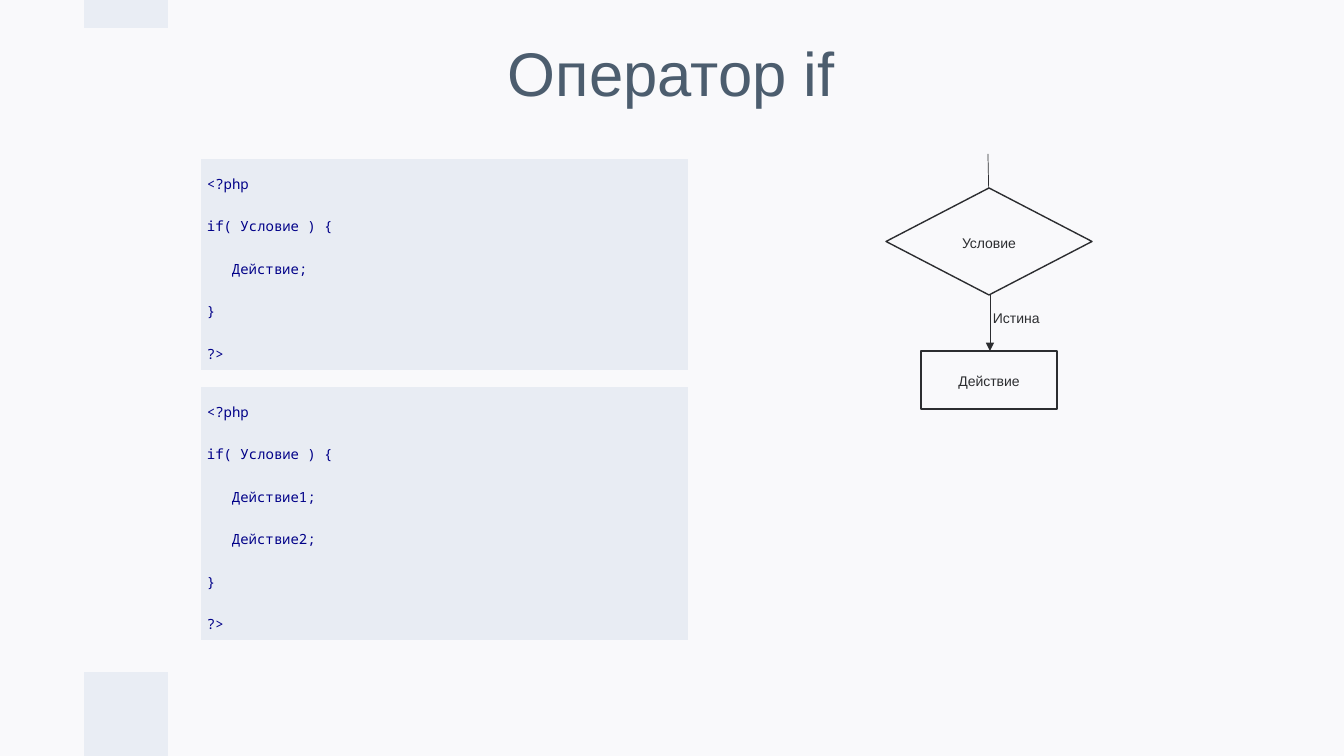
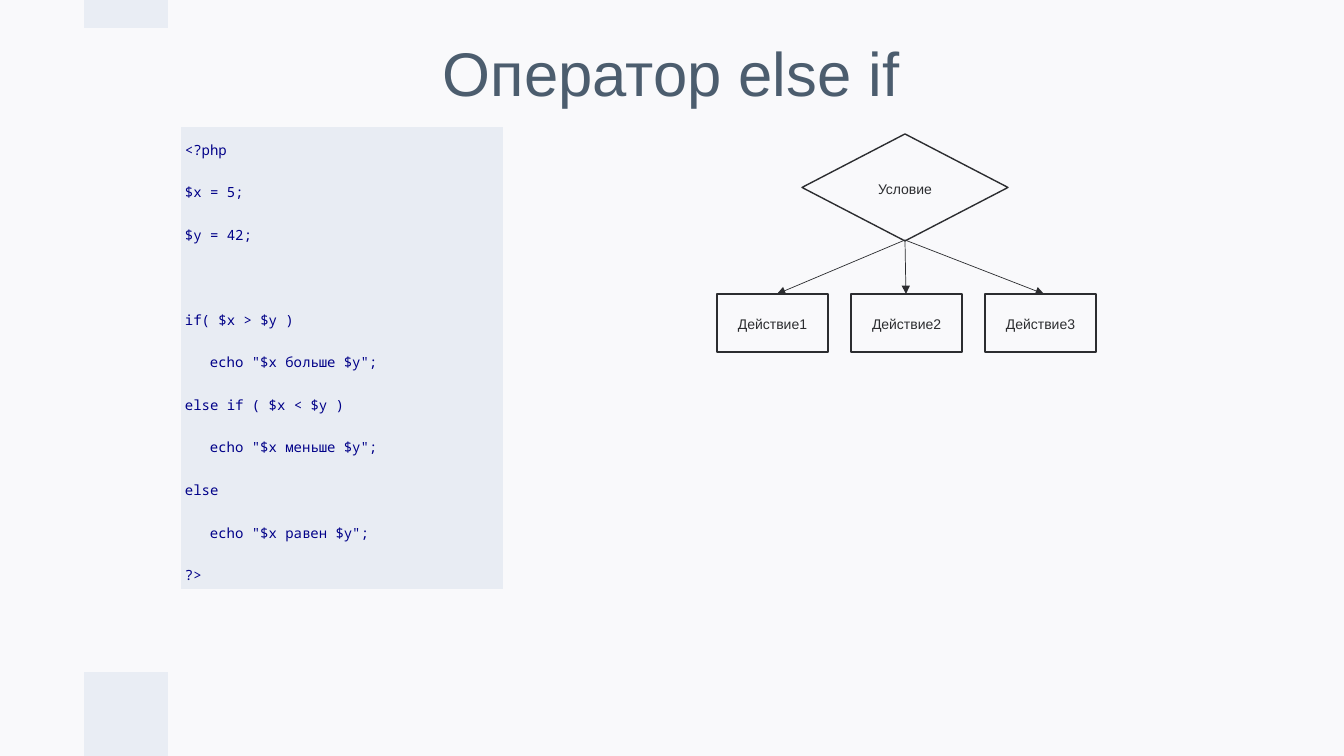
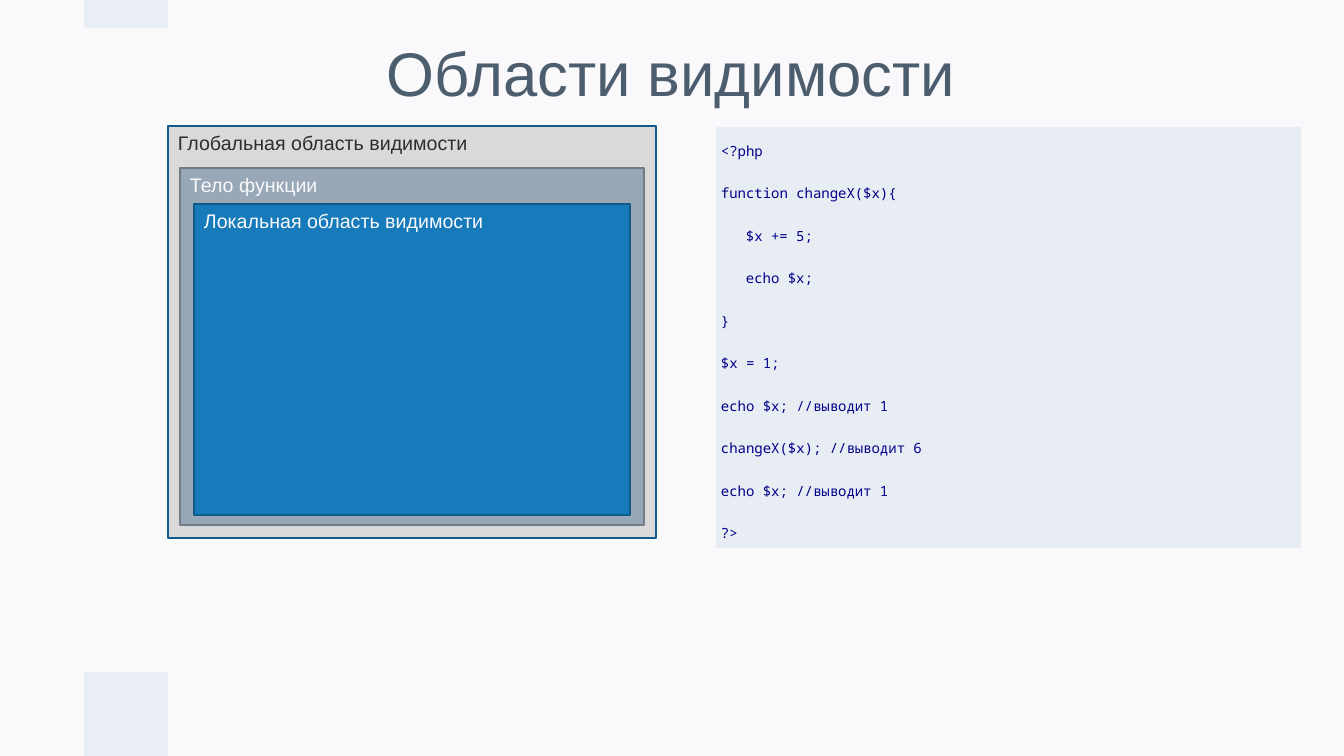
"""Build three slides on PHP conditions and variable scope."""
from lxml.etree import SubElement
from pptx import Presentation
from pptx.dml.color import RGBColor
from pptx.enum.shapes import MSO_CONNECTOR, MSO_SHAPE
from pptx.enum.text import MSO_ANCHOR, MSO_AUTO_SIZE, PP_ALIGN
from pptx.oxml import parse_xml
from pptx.oxml.ns import nsdecls, qn
from pptx.util import Pt

PIXEL = 9071
BACKGROUND, BAND, CODE_FILL = "F9F9FB", "E9EDF4", "E8ECF3"
TITLE_COLOR, CODE_COLOR, INK = "4C5D6E", "000088", "2C2D30"
TITLE_BOX = (168, 40, 1007, 74)
BANDS = [(84, 672, 84, 84), (84, 0, 84, 28)]
INDENT = 25
CODE_GAP, BLANK_LINE = 10, 30.4
DIAMOND_SIZE = (206, 107)
color = RGBColor.from_string


def add_box(slide, kind, box, text="", fill=BACKGROUND, outline=INK, ink=INK, size=10,
            align=PP_ALIGN.CENTER, anchor=MSO_ANCHOR.MIDDLE, gap=10, leading=1.15):
    shape = slide.shapes.add_shape(kind, *(PIXEL * value for value in box))
    shape.shadow.inherit = False
    shape.fill.solid()
    shape.fill.fore_color.rgb = color(fill)
    if outline:
        shape.line.color.rgb = color(outline)
        shape.line.width = Pt(1)
    else:
        shape.line.fill.background()
    if text:
        frame = shape.text_frame
        frame.vertical_anchor = anchor
        paragraph = frame.paragraphs[0]
        paragraph.text = text
        paragraph.alignment = align
        paragraph.line_spacing = leading
        paragraph.space_before = paragraph.space_after = Pt(gap)
        paragraph.font.name = "Arial"
        paragraph.font.size = Pt(size)
        paragraph.font.color.rgb = color(ink)
    return shape


def add_arrow(slide, start, end):
    arrow = slide.shapes.add_connector(
        MSO_CONNECTOR.STRAIGHT, *(PIXEL * value for value in start + end))
    arrow.line.color.rgb = color(INK)
    arrow.line.width = Pt(0.5)
    properties = arrow._element.spPr
    SubElement(properties.find(qn("a:ln")), qn("a:tailEnd"), type="triangle")
    SubElement(properties, qn("a:effectLst"))


presentation = Presentation()
presentation.slide_width = 1344 * PIXEL
presentation.slide_height = 756 * PIXEL
background = presentation.slide_master.background.fill
background.solid()
background.fore_color.rgb = color(BACKGROUND)

slides = []
for heading in ("Оператор if", "Оператор else if", "Области видимости"):
    slide = presentation.slides.add_slide(presentation.slide_layouts[5])
    slides.append(slide)
    title = slide.shapes.title
    title.left, title.top, title.width, title.height = (PIXEL * value for value in TITLE_BOX)
    frame = title.text_frame
    frame.auto_size = MSO_AUTO_SIZE.NONE
    frame.vertical_anchor = MSO_ANCHOR.MIDDLE
    frame.margin_left = frame.margin_right = frame.margin_top = frame.margin_bottom = 13 * PIXEL
    paragraph = frame.paragraphs[0]
    paragraph.text = heading
    paragraph.alignment = PP_ALIGN.CENTER
    paragraph.line_spacing = 0.9
    paragraph.font.name = "Arial"
    paragraph.font.size = Pt(44)
    paragraph.font.color.rgb = color(TITLE_COLOR)
    for band in BANDS:
        add_box(slide, MSO_SHAPE.RECTANGLE, band, fill=BAND, outline=None)
if_slide, else_if_slide, scope_slide = slides

listings = [
    (if_slide, (200, 158, 489, 193), 7, """<?php
if( Условие ) {
   Действие;
}
?>"""),
    (if_slide, (200, 386, 489, 233), 7, """<?php
if( Условие ) {
   Действие1;
   Действие2;
}
?>"""),
    (else_if_slide, (180, 126, 324, 428), 5, """<?php
$x = 5;
$y = 42;

if( $x > $y )
   echo "$x больше $y";
else if ( $x < $y )
   echo "$x меньше $y";
else
   echo "$x равен $y";
?>"""),
    (scope_slide, (715, 126, 587, 412), 6, """<?php
function changeX($x){
   $x += 5;
   echo $x;
}
$x = 1;
echo $x; //выводит 1
changeX($x); //выводит 6
echo $x; //выводит 1
?>"""),
]
for slide, box, inset, code in listings:
    table = slide.shapes.add_table(1, 1, *(PIXEL * value for value in box)).table
    table.first_row = table.horz_banding = False
    cell = table.cell(0, 0)
    cell.fill.solid()
    cell.fill.fore_color.rgb = color(CODE_FILL)
    cell.margin_left = cell.margin_right = cell.margin_top = cell.margin_bottom = inset * PIXEL
    for position, side in enumerate("LRTB"):
        cell._tc.tcPr.insert(position, parse_xml(
            f'<a:ln{side} {nsdecls("a")} w="12700"><a:solidFill>'
            f'<a:srgbClr val="{BACKGROUND}"/></a:solidFill></a:ln{side}>'))
    frame = cell.text_frame
    gap = CODE_GAP
    for number, line in enumerate(code.splitlines()):
        if not line:
            gap += BLANK_LINE
            continue
        paragraph = frame.add_paragraph() if number else frame.paragraphs[0]
        paragraph.text = line.strip()
        paragraph.line_spacing = 1.5
        paragraph.space_before = Pt(gap)
        paragraph.font.name = "Noto Sans Mono"
        paragraph.font.size = Pt(10)
        paragraph.font.color.rgb = color(CODE_COLOR)
        if line.startswith(" "):
            paragraph._p.get_or_add_pPr().set("marL", str(INDENT * PIXEL))
        gap = CODE_GAP

add_arrow(if_slide, (988, 154), (989, 205))
add_box(if_slide, MSO_SHAPE.FLOWCHART_DECISION, (886, 188, *DIAMOND_SIZE), "Условие")
true_label = add_box(if_slide, MSO_SHAPE.RECTANGLE, (983, 302, 68, 29), "Истина",
                     outline=BACKGROUND, align=PP_ALIGN.LEFT, anchor=MSO_ANCHOR.TOP)
true_label.line.width = Pt(0.5)
true_label.text_frame.word_wrap = False
add_box(if_slide, MSO_SHAPE.RECTANGLE, (921, 351, 136, 58), "Действие")
add_arrow(if_slide, (990, 295), (990, 351))

add_box(else_if_slide, MSO_SHAPE.FLOWCHART_DECISION, (802, 134, *DIAMOND_SIZE), "Условие")
for index, target in enumerate((777, 906, 1044)):
    add_box(else_if_slide, MSO_SHAPE.RECTANGLE, (717 + 134 * index, 294, 111, 58),
            f"Действие{index + 1}")
    add_arrow(else_if_slide, (905, 240), (target, 294))

scopes = [
    ((168, 126, 488, 412), "Глобальная область видимости", "D9D9D9", "115B8A", INK),
    ((180, 168, 464, 357), "Тело функции", "99A8B7", "717C87", BACKGROUND),
    ((194, 204, 436, 311), "Локальная область видимости", "177BBB", "115B8A", BACKGROUND),
]
for box, text, fill, outline, ink in scopes:
    add_box(scope_slide, MSO_SHAPE.RECTANGLE, box, text, fill, outline, ink, size=14,
            align=PP_ALIGN.LEFT, anchor=MSO_ANCHOR.TOP, gap=0, leading=1.0)

presentation.save("out.pptx")
